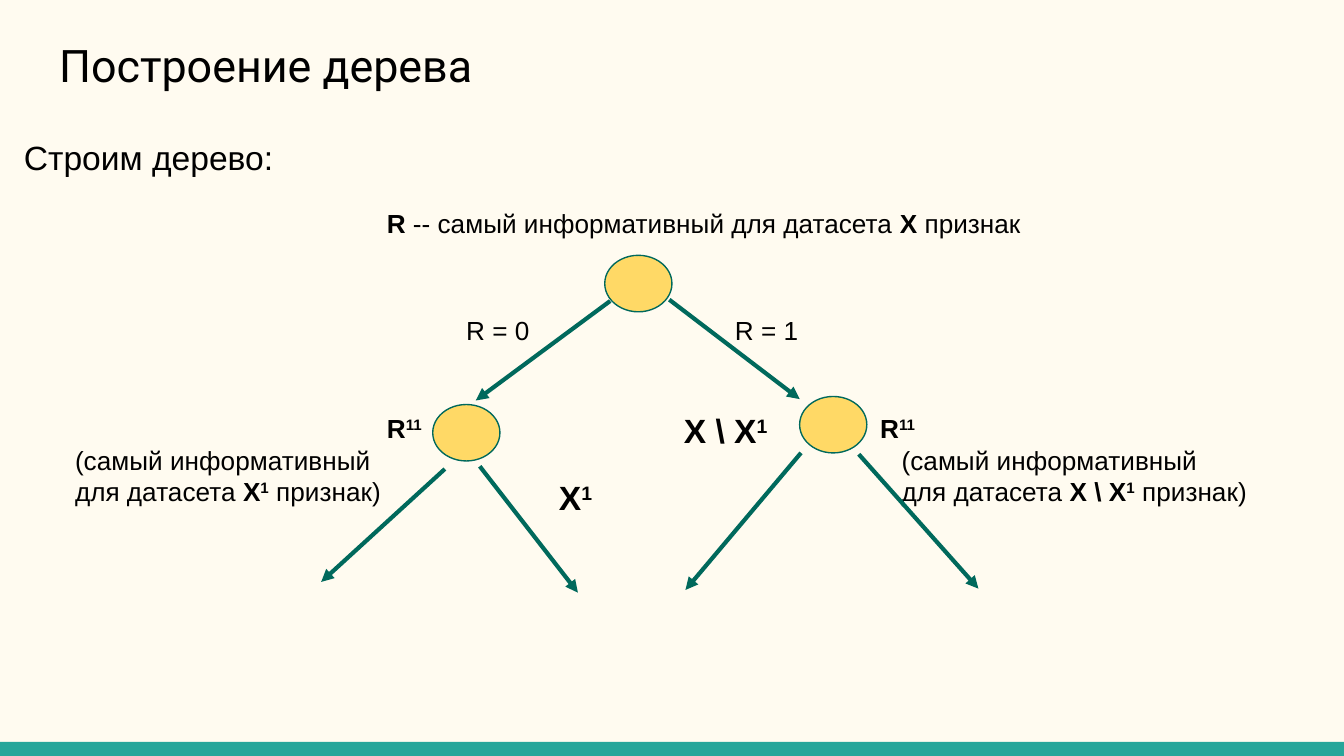
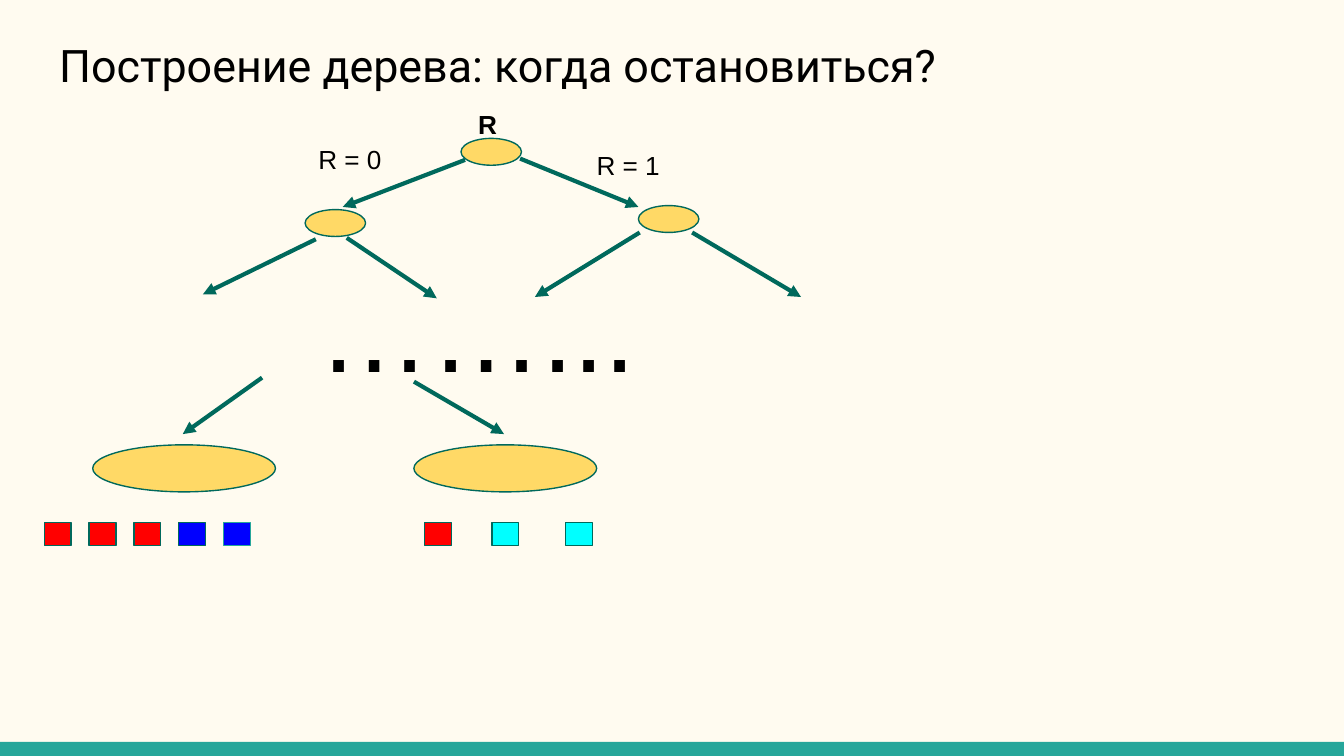
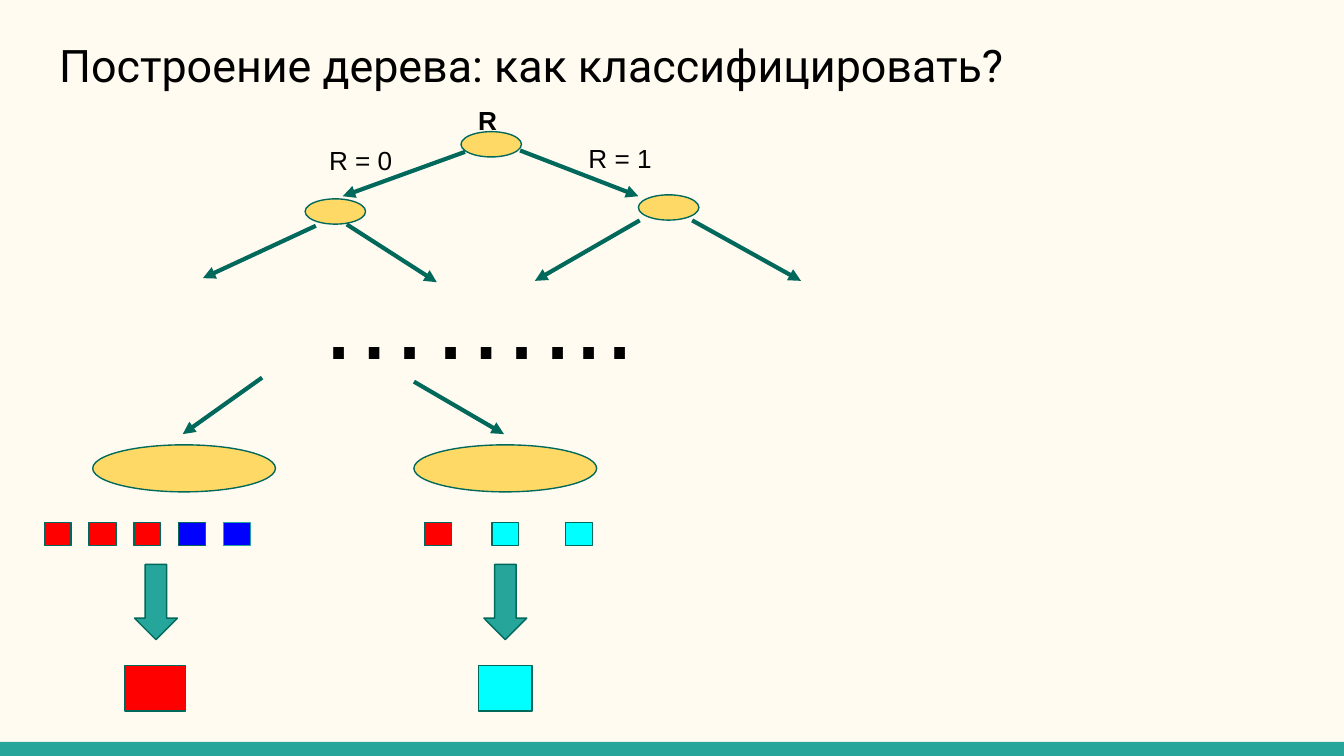
from lxml.etree import SubElement
from pptx import Presentation
from pptx.dml.color import RGBColor
from pptx.enum.shapes import MSO_CONNECTOR as Link, MSO_SHAPE as Form
from pptx.enum.text import MSO_ANCHOR as Anchor, MSO_AUTO_SIZE as AutoSize, PP_ALIGN as Align
from pptx.oxml.ns import qn
from pptx.util import Inches, Pt

COLORS = {
    "paper": "FFFBF0",
    "teal": "26A69A",
    "edge": "00695C",
    "node": "FFD966",
    "ink": "000000",
    "red": "FF0000",
    "blue": "0000FF",
    "cyan": "00FFFF",
}


class Deck:
    body_font = "Arial"
    title_font = "Roboto"

    def __init__(self):
        self.prs = Presentation()
        self.prs.slide_width = Inches(10)
        self.prs.slide_height = Inches(10) * 9 // 16
        self.layout = self.prs.slide_layouts[5]
        self.master = self.prs.slide_master
        self.slide = None
        self.paint(self.master.background.fill, "paper")

    def color(self, name):
        return RGBColor.from_string(COLORS[name])

    def paint(self, fill, name):
        fill.solid()
        fill.fore_color.rgb = self.color(name)

    def start(self, title, height):
        first = self.slide is None
        self.slide = self.prs.slides.add_slide(self.layout)
        if first:
            band = self.shape(Form.RECTANGLE, 0, 5.52, 10, 0.11, "teal", None)
            self.master.shapes._spTree.append(band._element)
        heading = self.slide.shapes.title
        heading.left, heading.top = Inches(0.34), Inches(0.18)
        heading.width, heading.height = Inches(9.32), Inches(height)
        heading.text_frame.text = title
        self.frame(heading.text_frame)
        paragraph = heading.text_frame.paragraphs[0]
        paragraph.alignment = Align.LEFT
        self.style(paragraph.runs[0], 24, self.title_font)

    def frame(self, frame):
        frame.word_wrap = True
        frame.auto_size = AutoSize.NONE
        frame.vertical_anchor = Anchor.TOP
        frame.margin_left = frame.margin_right = Inches(0.1)
        frame.margin_top = frame.margin_bottom = Inches(0.1)

    def style(self, run, size, font, marks=""):
        run.font.size = Pt(size)
        run.font.name = font
        run.font.bold = "b" in marks
        run.font.color.rgb = self.color("ink")
        if "^" in marks:
            run.font._element.set("baseline", "30000")

    def rich(self, x, y, w, h, lines, size=14):
        place = [Inches(v) for v in (x, y, w, h)]
        frame = self.slide.shapes.add_textbox(*place).text_frame
        self.frame(frame)
        for i, (indent, pieces) in enumerate(lines):
            paragraph = frame.add_paragraph() if i else frame.paragraphs[0]
            if indent:
                paragraph._p.get_or_add_pPr().set("marL", str(Inches(indent)))
            for words, marks in pieces:
                run = paragraph.add_run()
                run.text = words
                self.style(run, size, self.body_font, marks)

    def text(self, x, y, w, h, words, size=14, marks=""):
        self.rich(x, y, w, h, [(0, [(words, marks)])], size)

    def shape(self, form, x, y, w, h, fill, line="edge"):
        place = [Inches(v) for v in (x, y, w, h)]
        item = self.slide.shapes.add_shape(form, *place)
        item.shadow.inherit = False
        self.paint(item.fill, fill)
        if line:
            item.line.color.rgb = self.color(line)
            item.line.width = Pt(0.75)
        else:
            item.line.fill.background()
        return item

    def node(self, x, y, w, h):
        self.shape(Form.OVAL, x, y, w, h, "node")

    def square(self, x, y, fill, w=0.2, h=0.17, line="edge"):
        self.shape(Form.RECTANGLE, x, y, w, h, fill, line)

    def arrow(self, x1, y1, x2, y2):
        ends = [Inches(v) for v in (x1, y1, x2, y2)]
        branch = self.slide.shapes.add_connector(Link.STRAIGHT, *ends)
        branch.line.color.rgb = self.color("edge")
        branch.line.width = Pt(2.25)
        SubElement(branch.line._get_or_add_ln(), qn("a:tailEnd"), type="triangle")
        SubElement(branch._element.spPr, qn("a:effectLst"))


def building_slide(deck):
    deck.start("Построение дерева", 0.67)
    deck.text(0.08, 0.92, 6.4, 0.75, "Строим дерево:", 18)
    deck.rich(2.78, 1.44, 5.24, 0.5, [(0, [
        ("R ", "b"), ("-- самый информативный для датасета ", ""),
        ("X ", "b"), ("признак", "")])])
    for x, y in [(4.5, 1.9), (3.22, 3.01), (5.95, 2.95)]:
        deck.node(x, y, 0.5, 0.42)
    deck.text(3.37, 2.24, 0.91, 0.42, "R = 0")
    deck.text(5.37, 2.24, 0.85, 0.5, "R = 1")

    left_set = [("X", "b"), ("1", "b^")]
    right_set = [("X \\ X", "b"), ("1", "b^")]
    deck.rich(4.06, 3.45, 0.74, 0.42, [(0, left_set)], 18)
    deck.rich(4.5, 2.95, 1.46, 0.42, [(0.49, right_set)], 18)
    for x, w, sign_indent, indent, subset in [
        (0.46, 3.72, 2.32, 0, left_set),
        (6.39, 3.08, 0.06, 0.22, right_set),
    ]:
        deck.rich(x, 2.97, w, 0.77, [
            (sign_indent, [("R", "b"), ("11", "b^")]),
            (indent, [("(самый информативный", "")]),
            (indent, [("для датасета ", ""), *subset, (" признак)", "")]),
        ])

    for ends in [
        (4.54, 2.24, 3.54, 2.98), (4.98, 2.23, 5.95, 2.97),
        (3.31, 3.49, 2.39, 4.33), (5.96, 3.37, 5.1, 4.39),
        (3.57, 3.47, 4.3, 4.41), (6.39, 3.38, 7.28, 4.38),
    ]:
        deck.arrow(*ends)


def deep_tree(deck, scale=1.0, shift=0.0):
    def level(y):
        return round(shift + scale * y, 2)

    for x, y in [(3.43, 1.03), (2.27, 1.56), (4.75, 1.53)]:
        deck.node(x, level(y), 0.45, 0.2 * scale)
    deck.text(3.46, level(0.71), 0.4, 0.24 * scale, "R", marks="b")
    for x1, y1, x2, y2 in [
        (3.46, 1.19, 2.55, 1.54), (3.87, 1.18, 4.75, 1.54),
        (2.35, 1.78, 1.51, 2.19), (4.76, 1.73, 3.98, 2.21),
        (2.58, 1.77, 3.25, 2.22), (5.15, 1.73, 5.96, 2.21),
    ]:
        deck.arrow(x1, level(y1), x2, level(y2))
    deck.text(2.27, level(1.84), 6.4, 0.89 * scale, "……...", 60)

    for x in (0.69, 3.08):
        deck.node(x, 3.31, 1.36, 0.35)
    deck.arrow(3.08, 2.84, 3.75, 3.23)
    deck.arrow(1.95, 2.81, 1.36, 3.23)
    for i, fill in enumerate(["red", "red", "red", "blue", "blue"]):
        deck.square(0.33 + i / 3, 3.89, fill, line="teal" if i == 4 else "edge")
    for x, fill in [(3.16, "red"), (3.66, "cyan"), (4.21, "cyan")]:
        deck.square(x, 3.89, fill)


def stopping_slide(deck):
    deck.start("Построение дерева: когда остановиться?", 0.8)
    deep_tree(deck)
    deck.text(2.27, 0.97, 0.83, 0.2, "R = 0")
    deck.text(4.34, 1.01, 0.78, 0.24, "R = 1")


def classifying_slide(deck):
    deck.start("Построение дерева: как классифицировать?", 0.75)
    deep_tree(deck, 0.94, 0.01)
    deck.text(2.35, 0.98, 0.83, 0.19, "R = 0")
    deck.text(4.28, 0.96, 0.78, 0.22, "R = 1")
    for arrow_x, answer_x, answer_w, fill in [
        (1, 0.93, 0.45, "red"), (3.6, 3.56, 0.4, "cyan"),
    ]:
        deck.shape(Form.DOWN_ARROW, arrow_x, 4.2, 0.32, 0.56, "teal")
        deck.square(answer_x, 4.95, fill, answer_w, 0.34)


def main():
    deck = Deck()
    building_slide(deck)
    stopping_slide(deck)
    classifying_slide(deck)
    deck.prs.save("out.pptx")


if __name__ == "__main__":
    main()
